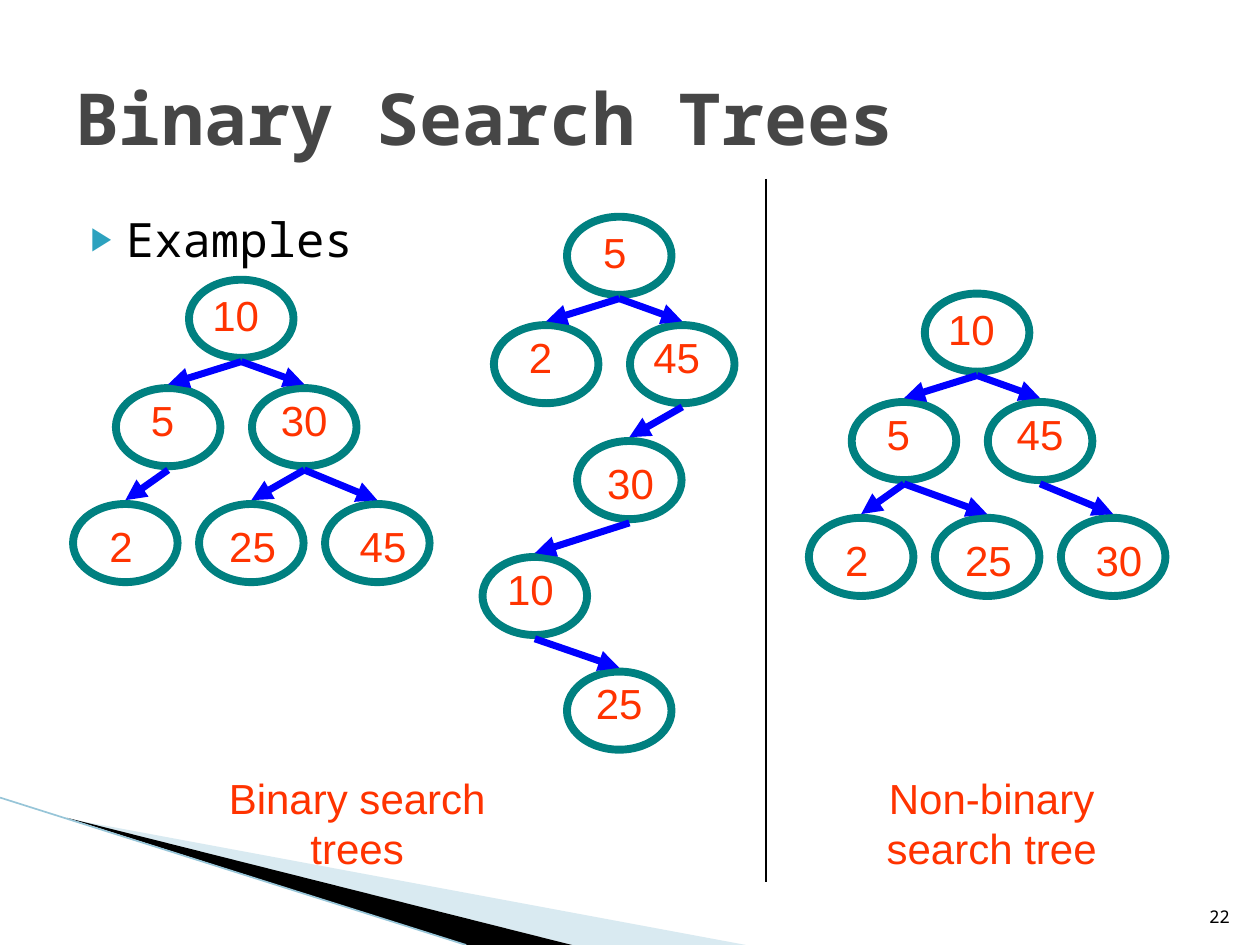
from dataclasses import dataclass

from lxml import etree
from pptx import Presentation
from pptx.dml.color import RGBColor
from pptx.enum.shapes import MSO_CONNECTOR, MSO_SHAPE
from pptx.enum.text import MSO_ANCHOR, MSO_AUTO_SIZE, PP_ALIGN
from pptx.oxml.ns import qn
from pptx.util import Inches, Pt

STRAIGHT = MSO_CONNECTOR.STRAIGHT
OVAL = MSO_SHAPE.OVAL
LEFT, CENTER, RIGHT = PP_ALIGN.LEFT, PP_ALIGN.CENTER, PP_ALIGN.RIGHT
TOP, MIDDLE, BOTTOM = MSO_ANCHOR.TOP, MSO_ANCHOR.MIDDLE, MSO_ANCHOR.BOTTOM
GROW = MSO_AUTO_SIZE.SHAPE_TO_FIT_TEXT

NODE_W, NODE_H = 0.83, 0.62
EDGE_GAP = 0.03
LABEL_H = 0.5


@dataclass(frozen=True)
class Theme:
    mono: str = "Noto Sans Mono"
    sans: str = "Arial"
    title: str = "464646"
    text: str = "000000"
    bullet: str = "2DA2BF"
    label: str = "FF3300"
    node: str = "008080"
    edge: str = "0000FF"
    wedge: str = "A0CBDC"
    wedge_line: str = "97C5D8"
    title_size: float = 41
    body_size: float = 27
    label_size: float = 24
    number_size: float = 10


@dataclass(frozen=True)
class Node:
    """A tree node; label_dx, label_dy and label_w place its label box."""
    label: str
    x: float
    y: float
    label_dx: float
    label_dy: float
    label_w: float


def sub(parent, tag, **attrs):
    return etree.SubElement(parent, qn(tag), attrs)


class SlideBuilder:
    def __init__(self, slide, theme):
        self.s = slide
        self.theme = theme

    def style(self, p, size, color, font, bold=False):
        for r in p.runs:
            r.font.size, r.font.name, r.font.bold = Pt(size), font, bold
            r.font.color.rgb = RGBColor.from_string(color)

    def place(self, sp, x, y, w, h):
        sp.left, sp.top, sp.width, sp.height = map(Inches, (x, y, w, h))

    def title(self, text, *box):
        sp = self.s.shapes.title
        self.place(sp, *box)
        tf = sp.text_frame
        tf.text = text
        tf.vertical_anchor = MIDDLE
        p = tf.paragraphs[0]
        p.alignment = LEFT
        self.style(p, self.theme.title_size, self.theme.title, self.theme.mono, True)

    def bullets(self, items, *box):
        sp = self.s.placeholders[1]
        self.place(sp, *box)
        tf = sp.text_frame
        tf.text = "\n".join(items)
        tf.vertical_anchor = TOP
        for p in tf.paragraphs:
            p.space_before = Pt(4)
            self.style(p, self.theme.body_size, self.theme.text, self.theme.mono)
            pPr = p._p.get_or_add_pPr()
            pPr.set("marL", str(Inches(0.4)))
            pPr.set("indent", str(Inches(-0.28)))
            sub(sub(pPr, "a:buClr"), "a:srgbClr", val=self.theme.bullet)
            sub(pPr, "a:buSzPct", val="68000")
            sub(pPr, "a:buChar", char="▶")

    def text(self, text, x, y, w, h, size, color, font, align=CENTER, anchor=TOP):
        sp = self.s.shapes.add_textbox(*map(Inches, (x, y, w, h)))
        tf = sp.text_frame
        tf.word_wrap = True
        tf.vertical_anchor = anchor
        tf.text = text
        p = tf.paragraphs[0]
        p.alignment = align
        self.style(p, size, color, font)
        return sp

    def label(self, text, *box):
        sp = self.text(text, *box, self.theme.label_size, self.theme.label, self.theme.sans)
        sp.text_frame.auto_size = GROW

    def line(self, start, end, color, width, arrow=False):
        cn = self.s.shapes.add_connector(STRAIGHT, *map(Inches, (*start, *end)))
        cn.line.color.rgb = RGBColor.from_string(color)
        cn.line.width = Pt(width)
        if arrow:
            sub(cn.line._get_or_add_ln(), "a:tailEnd", type="triangle")
        sub(cn._element.spPr, "a:effectLst")

    def polygon(self, points, color, alpha=None):
        start, *rest = [tuple(map(Inches, pt)) for pt in points]
        fb = self.s.shapes.build_freeform(*start)
        fb.add_line_segments(rest, close=True)
        sp = fb.convert_to_shape()
        sp.shadow.inherit = False
        sp.fill.solid()
        sp.fill.fore_color.rgb = RGBColor.from_string(color)
        sp.line.fill.background()
        if alpha is not None:
            clr = sp._element.spPr.find(qn("a:solidFill"))[0]
            sub(clr, "a:alpha", val=str(alpha * 1000))

    def ellipse(self, x, y):
        sp = self.s.shapes.add_shape(OVAL, *map(Inches, (x, y, NODE_W, NODE_H)))
        sp.shadow.inherit = False
        sp.fill.background()
        sp.line.color.rgb = RGBColor.from_string(self.theme.node)
        sp.line.width = Pt(4.5)

    def tree(self, nodes, edges):
        """Draw nodes, then arrows for (parent, child) index pairs, then labels."""
        for n in nodes:
            self.ellipse(n.x, n.y)
        for parent, child in edges:
            a, b = nodes[parent], nodes[child]
            self.line((a.x + NODE_W / 2, a.y + NODE_H + EDGE_GAP),
                      (b.x + NODE_W / 2, b.y - EDGE_GAP),
                      self.theme.edge, 4, arrow=True)
        for n in nodes:
            self.label(n.label, n.x + n.label_dx, n.y + n.label_dy, n.label_w, LABEL_H)


# Three-level tree: node place, then label offset and width
LEVEL_LAYOUT = [
    (0.92, 0, 0.08, 0.03, 0.58),
    (0.34, 0.86, 0.16, 0, 0.42),
    (1.42, 0.86, 0.08, 0, 0.67),
    (0, 1.78, 0.17, 0.08, 0.42),
    (1, 1.78, 0.09, 0.08, 0.67),
    (2, 1.78, 0.17, 0.08, 0.58),
]

CHAIN_TREE = [
    Node("5", 4.5, 1.72, 0.17, 0.03, 0.42),
    Node("2", 3.92, 2.58, 0.16, 0, 0.42),
    Node("45", 5, 2.58, 0.08, 0, 0.58),
    Node("30", 4.58, 3.5, 0.09, 0.08, 0.67),
    Node("10", 3.83, 4.42, 0.09, 0, 0.58),
    Node("25", 4.5, 5.33, 0.08, 0, 0.67),
]


def level_tree(labels, left, top):
    return [Node(label, left + x, top + y, *box)
            for label, (x, y, *box) in zip(labels, LEVEL_LAYOUT)]


def main():
    prs = Presentation()
    prs.slide_width, prs.slide_height = Inches(10), Inches(7.5)
    theme = Theme()
    b = SlideBuilder(prs.slides.add_slide(prs.slide_layouts[1]), theme)

    b.polygon([(0.55, 6.5), (5.92, 7.5), (4.54, 7.5)], theme.wedge, alpha=40)
    b.polygon([(0.53, 6.49), (4.54, 7.5), (3.7, 7.5)], theme.text)
    b.line((0, 6.33), (3.7, 7.5), theme.wedge_line, 0.95)

    b.title("Binary Search Trees", 0.5, 0.3, 9, 1.25)
    b.bullets(["Examples"], 0.5, 1.62, 9, 4.95)

    b.tree(level_tree(["10", "5", "30", "2", "25", "45"], 0.58, 2.22),
           [(0, 1), (0, 2), (1, 3), (2, 4), (2, 5)])
    b.tree(level_tree(["10", "5", "45", "2", "25", "30"], 6.42, 2.33),
           [(0, 1), (0, 2), (1, 3), (1, 4), (2, 5)])
    b.tree(CHAIN_TREE, [(0, 1), (0, 2), (2, 3), (3, 4), (4, 5)])

    b.label("Binary search trees", 1.67, 6.08, 2.33, 0.9)
    b.label("Non-binary search tree", 6.58, 6.08, 2.58, 0.9)
    b.line((6.08, 1.42), (6.08, 7), theme.text, 1)
    b.text("22", 9.46, 7.01, 0.4, 0.4, theme.number_size, theme.text, theme.mono,
           RIGHT, BOTTOM)

    prs.save("out.pptx")


if __name__ == "__main__":
    main()
